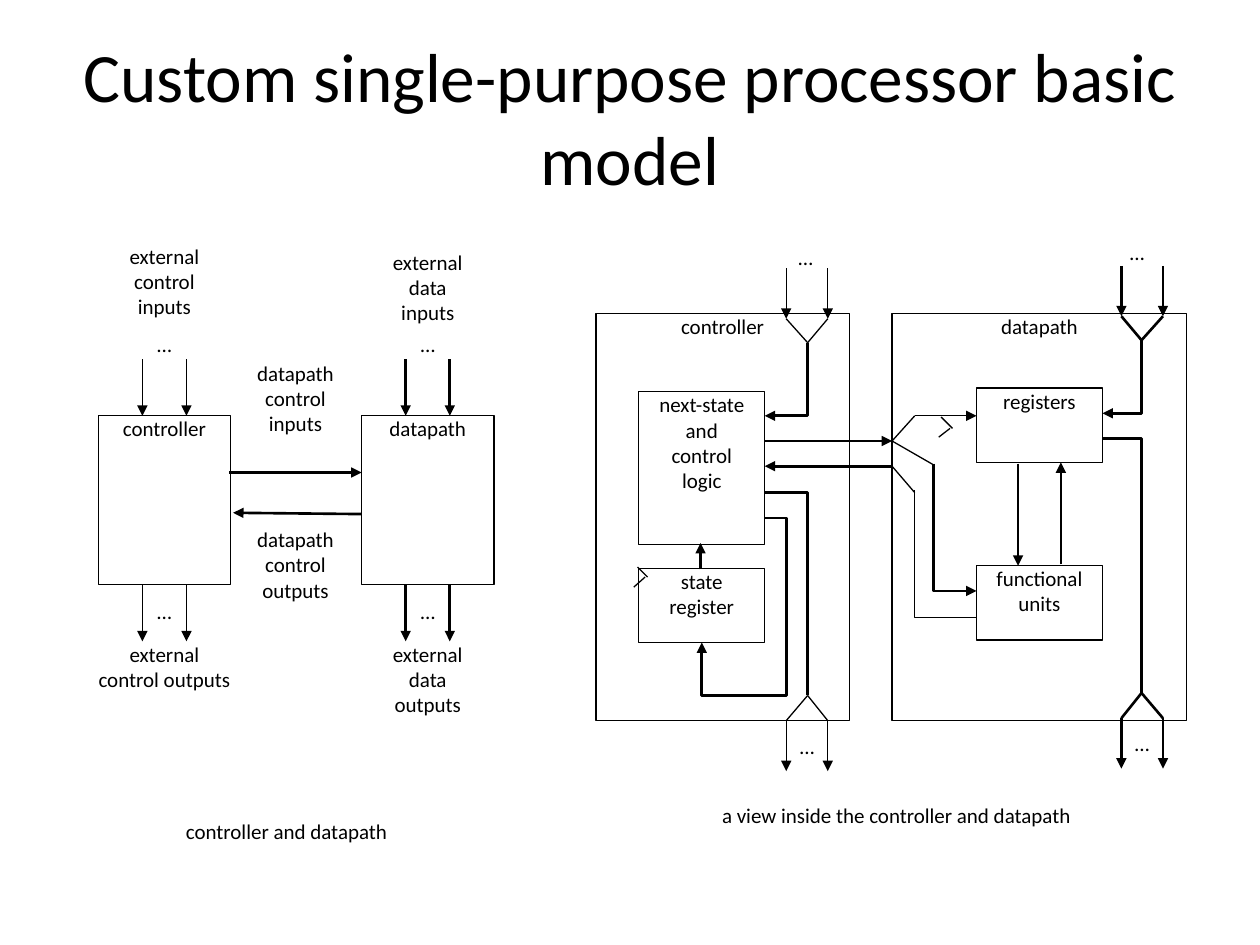
"""Build the slide on the basic model of a custom single-purpose processor."""
from lxml import etree
from pptx import Presentation
from pptx.dml.color import RGBColor
from pptx.enum import shapes, text
from pptx.oxml.ns import qn
from pptx.util import Inches, Pt

BLACK = RGBColor(0, 0, 0)
FONT = "Calibri"
THIN, MEDIUM, THICK = 0.75, 1.25, 1.5

prs = Presentation()
prs.slide_width, prs.slide_height = Inches(10), Inches(7.5)
s = prs.slides.add_slide(prs.slide_layouts[5])


def add_label(words, x, y, w, h, boxed=False):
    box = [Inches(v) for v in (x, y, w, h)]
    if boxed:
        sp = s.shapes.add_shape(shapes.MSO_SHAPE.RECTANGLE, *box)
        sp.shadow.inherit = False
        sp.fill.background()
        sp.line.color.rgb = BLACK
        sp.line.width = Pt(THIN)
    else:
        sp = s.shapes.add_textbox(*box)
    tf = sp.text_frame
    tf.word_wrap = True
    tf.vertical_anchor = text.MSO_ANCHOR.TOP
    tf.margin_left = tf.margin_right = tf.margin_top = tf.margin_bottom = 0
    for i, row in enumerate(words.split("\n")):
        p = tf.paragraphs[0] if i == 0 else tf.add_paragraph()
        p.alignment = text.PP_ALIGN.CENTER
        r = p.add_run()
        r.text = row
        r.font.name, r.font.size, r.font.color.rgb = FONT, Pt(12), BLACK


def add_wire(points, width, arrow=False):
    pts = [(Inches(x), Inches(y)) for x, y in points]
    if len(pts) == 2:
        sp = s.shapes.add_connector(shapes.MSO_CONNECTOR.STRAIGHT, *pts[0], *pts[1])
        etree.SubElement(sp._element.spPr, qn("a:effectLst"))
    else:
        fb = s.shapes.build_freeform(*pts[0])
        fb.add_line_segments(pts[1:], close=False)
        sp = fb.convert_to_shape()
        sp.shadow.inherit = False
        sp.fill.background()
    sp.line.color.rgb = BLACK
    sp.line.width = Pt(width)
    if arrow:
        etree.SubElement(sp.line._get_or_add_ln(), qn("a:tailEnd"), type="triangle")


title = s.shapes.title
title.left, title.top, title.width, title.height = [Inches(v) for v in (0.5, 0.3, 9, 1.25)]
tf = title.text_frame
tf.word_wrap = True
tf.vertical_anchor = text.MSO_ANCHOR.MIDDLE
p = tf.paragraphs[0]
p.alignment = text.PP_ALIGN.CENTER
r = p.add_run()
r.text = "Custom single-purpose processor basic model"
r.font.name, r.font.size, r.font.color.rgb = FONT, Pt(39.6), BLACK

for name, x, y, w, h in [
    ("controller", 0.78, 3.3, 1.05, 1.34),
    ("datapath", 2.87, 3.3, 1.05, 1.34),
    ("controller", 4.73, 2.49, 2.01, 3.23),
    ("datapath", 7.08, 2.49, 2.34, 3.23),
    ("next-state\nand\ncontrol\nlogic", 5.07, 3.11, 1, 1.21),
    ("state\nregister", 5.07, 4.51, 1, 0.59),
    ("registers", 7.75, 3.08, 1, 0.59),
    ("functional\nunits", 7.75, 4.49, 1, 0.59),
]:
    add_label(name, x, y, w, h, boxed=True)

for words, x, y, w, h in [
    ("external\ncontrol\ninputs", 0.78, 1.93, 1.05, 0.92),
    ("external\ncontrol outputs", 0.78, 5.09, 1.05, 1.02),
    ("external\ndata\ninputs", 2.87, 1.98, 1.05, 0.76),
    ("external\ndata\noutputs", 2.87, 5.09, 1.05, 1.02),
    ("datapath\ncontrol\ninputs", 1.82, 2.86, 1.05, 0.87),
    ("datapath\ncontrol\noutputs", 1.82, 4.18, 1.05, 1.11),
    ("controller and datapath", 1.06, 6.5, 2.43, 0.34),
    ("a view inside the controller and datapath", 4.82, 6.37, 4.59, 0.46),
    ("…", 6.23, 1.94, 0.33, 0.3),
    ("…", 8.86, 1.9, 0.33, 0.3),
    ("…", 6.24, 5.82, 0.33, 0.3),
    ("…", 8.9, 5.8, 0.33, 0.3),
]:
    add_label(words, x, y, w, h)

for x, width in [(1.13, THIN), (3.22, THICK)]:
    for top, dots_top in [(2.85, 2.63), (4.64, 4.75)]:
        add_label("…", x, dots_top, 0.35, 0.34)
        for port_x in (x, x + 0.35):
            add_wire([(port_x, top), (port_x, top + 0.45)], width, arrow=True)

for x, hub_x, shift, width in [(6.24, 6.41, 0, THIN), (8.9, 9.06, -0.02, THICK)]:
    for port_x in (x, x + 0.33):
        for top in (2.13 + shift, 5.72 + shift):
            add_wire([(port_x, top), (port_x, top + 0.4)], width, arrow=True)
        add_wire([(port_x, 2.53 + shift), (hub_x, 2.72 + shift)], width)
        add_wire([(hub_x, 5.52 + shift), (port_x, 5.72 + shift)], width)

for points, width in [
    ([(1.82, 3.75), (2.87, 3.75)], THICK),
    ([(2.87, 4.08), (1.85, 4.07)], THICK),
    ([(6.07, 3.5), (7.08, 3.5)], THICK),
    ([(7.08, 3.7), (6.07, 3.7)], THICK),
    ([(6.07, 4.11), (6.24, 4.11), (6.24, 5.52), (5.57, 5.52), (5.57, 5.1)], THICK),
    ([(6.41, 2.72), (6.41, 3.3), (6.07, 3.3)], THICK),
    ([(5.56, 4.52), (5.56, 4.31)], MEDIUM),
    ([(8.08, 3.68), (8.08, 4.49)], THICK),
    ([(8.42, 4.48), (8.42, 3.67)], THICK),
    ([(9.06, 2.7), (9.06, 3.28), (8.75, 3.28)], THICK),
    ([(7.26, 3.3), (7.75, 3.3)], THIN),
    ([(7.41, 3.68), (7.41, 4.69), (7.75, 4.69)], THICK),
]:
    add_wire(points, width, arrow=True)

for points, width in [
    ([(6.07, 3.91), (6.41, 3.91), (6.41, 5.52)], THICK),
    ([(8.75, 3.48), (9.06, 3.48), (9.06, 5.5)], THICK),
    ([(7.75, 4.9), (7.26, 4.9), (7.26, 3.89)], THIN),
    ([(7.08, 3.5), (7.26, 3.3)], THIN),
    ([(7.08, 3.5), (7.41, 3.69)], THIN),
    ([(7.26, 3.91), (7.08, 3.7)], THIN),
    ([(5.06, 4.5), (5.14, 4.58)], THIN),
    ([(5.12, 4.58), (5.03, 4.66)], THIN),
    ([(7.47, 3.31), (7.56, 3.4)], THIN),
    ([(7.54, 3.4), (7.45, 3.47)], THIN),
]:
    add_wire(points, width)

prs.save("out.pptx")
